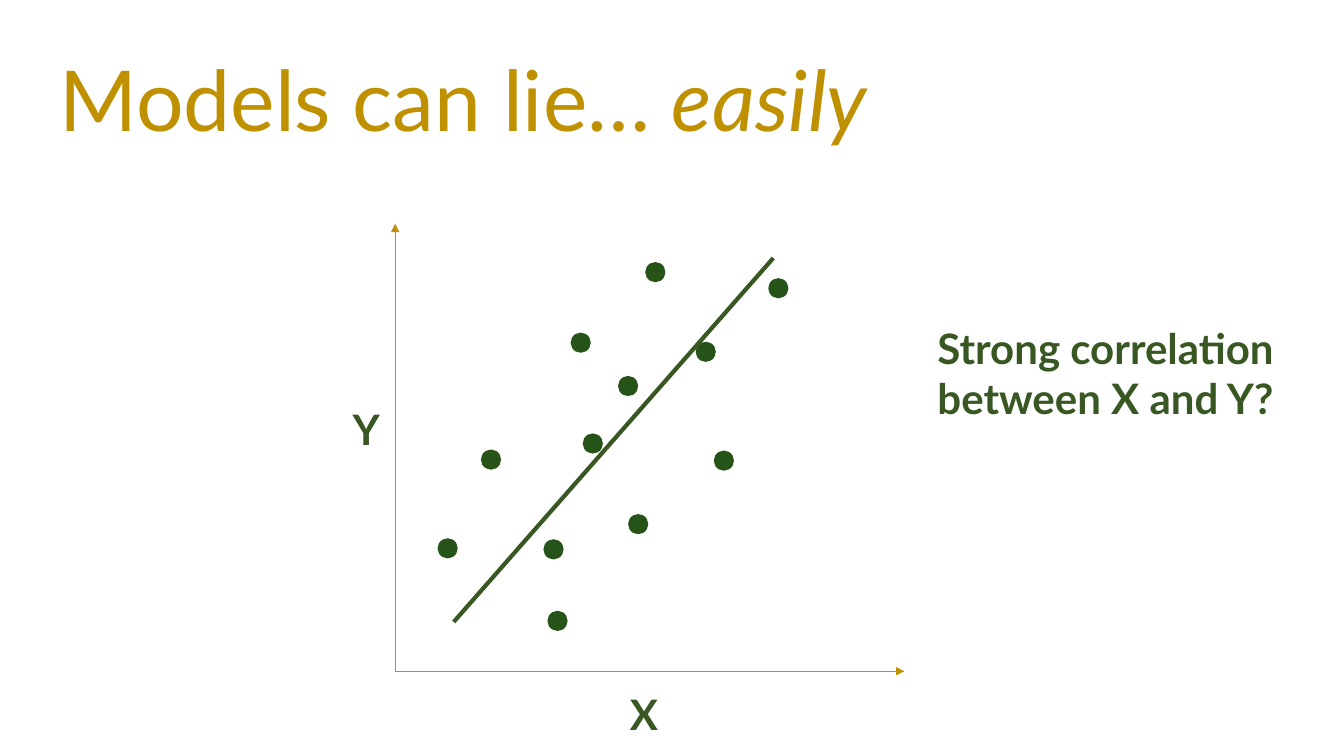
import pptx
import pptx.dml.color
import pptx.enum.shapes
import pptx.oxml.ns
import pptx.util
from lxml import etree

PX = 9144  # EMU, 100 px to the inch
GOLD = pptx.dml.color.RGBColor(0xBF, 0x90, 0x00)
AXIS_GOLD = pptx.dml.color.RGBColor(0xBF, 0x90, 0x01)
GREEN = pptx.dml.color.RGBColor(0x38, 0x57, 0x23)
DOT_GREEN = pptx.dml.color.RGBColor(0x26, 0x53, 0x17)

DOT_SIZE = 20
DOTS = [(434, 534), (539, 535), (477, 446), (708, 447), (566, 330), (578, 430),
        (613, 373), (640, 260), (690, 339), (762, 276), (623, 510), (543, 606)]
ORIGIN = (392, 666)


def add_text(shapes, bounds, pieces, size, color, bold=False):
    """Add a text box of one paragraph; pieces are (text, italic) pairs."""
    box = shapes.add_textbox(*(length * PX for length in bounds))
    box.text_frame.word_wrap = True
    para = box.text_frame.paragraphs[0]
    para.font.name = "Lato"
    para.font.size = pptx.util.Pt(size)
    para.font.color.rgb = color
    para.font.bold = bold
    for text, italic in pieces:
        span = para.add_run()
        span.text = text
        if italic:
            span.font.italic = True


def add_line(shapes, start, end, color, width, arrow=False):
    line = shapes.add_connector(
        pptx.enum.shapes.MSO_CONNECTOR.STRAIGHT,
        *(length * PX for length in start + end))
    line.line.color.rgb = color
    line.line.width = pptx.util.Pt(width)
    properties = line._element.spPr
    etree.SubElement(properties, pptx.oxml.ns.qn("a:effectLst"))
    if arrow:
        outline = properties.find(pptx.oxml.ns.qn("a:ln"))
        etree.SubElement(outline, pptx.oxml.ns.qn("a:tailEnd"), type="triangle")


deck = pptx.Presentation()
deck.slide_width = 1333 * PX
deck.slide_height = 750 * PX
page = deck.slides.add_slide(deck.slide_layouts[6])

add_text(page.shapes, (49, 42, 1235, 111),
         [("Models can lie… ", False), ("easily", True)], 60, GOLD)

# Scatter plot
plot = page.shapes.add_group_shape().shapes
for axis_end in [(392, 222), (897, 666)]:
    add_line(plot, ORIGIN, axis_end, AXIS_GOLD, 1, arrow=True)
add_text(plot, (615, 678, 170, 51), [("X", False)], 30, GREEN, bold=True)
add_text(plot, (340, 395, 401, 51), [("Y", False)], 30, GREEN, bold=True)
for left, top in DOTS:
    dot = plot.add_shape(pptx.enum.shapes.MSO_SHAPE.OVAL, left * PX, top * PX,
                         DOT_SIZE * PX, DOT_SIZE * PX)
    dot.shadow.inherit = False
    dot.fill.solid()
    dot.fill.fore_color.rgb = DOT_GREEN
    dot.line.fill.background()

# Trend line and question
add_line(page.shapes, (450, 617), (767, 256), GREEN, 3)
add_text(page.shapes, (920, 315, 384, 111),
         [("Strong correlation between X and Y?", False)], 30, GREEN, bold=True)

deck.save("out.pptx")
